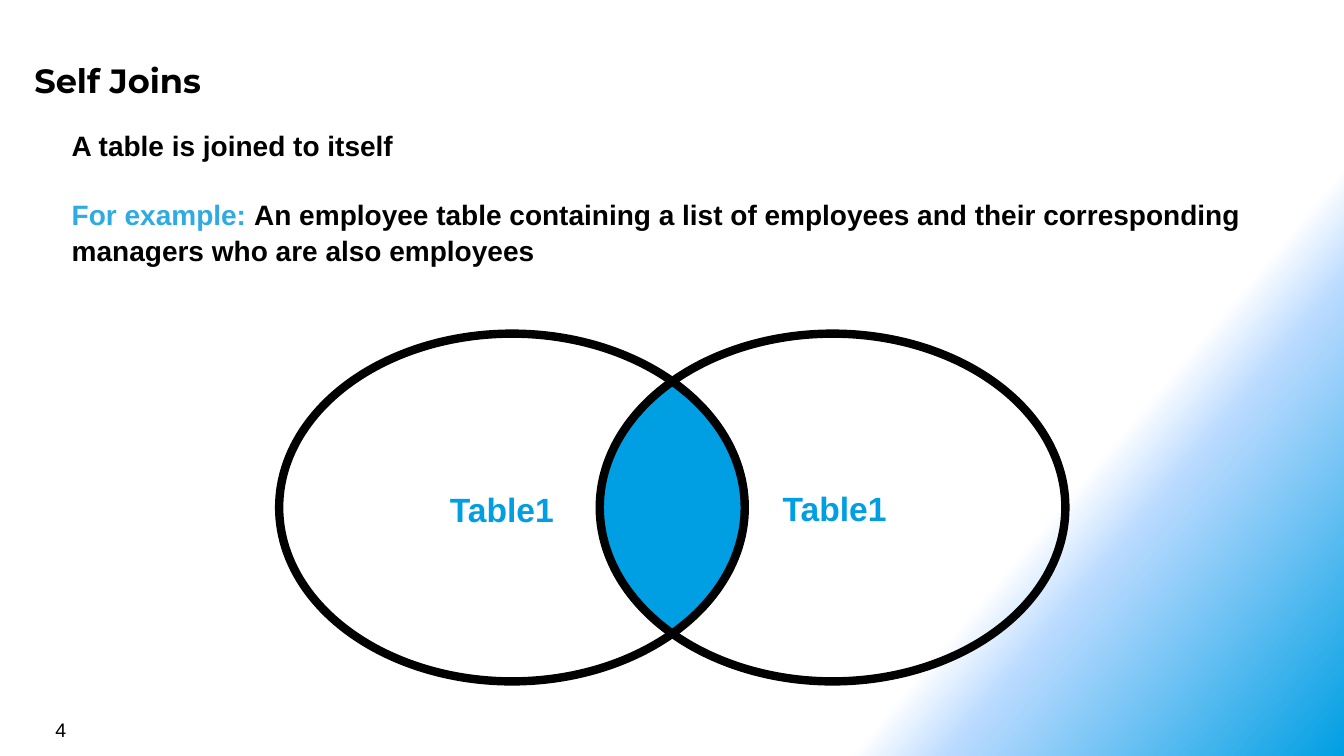
from math import acos, cos, pi, sin
from lxml import etree
from pptx import Presentation, util as u
from pptx.dml.color import RGBColor
from pptx.enum import shapes, text
from pptx.oxml.ns import qn

Pt = u.Pt
BLACK, BLUE, SKY = "000000", "009FE3", "2EABE2"


def rgb(value):
    return RGBColor.from_string(value)


def write(sp, box, lines, size, font="Arial", bold=True, inset=(7.2, 3.6),
          align=text.PP_ALIGN.LEFT):
    """Place a text shape; lines is a list of paragraphs of (text, colour) runs."""
    sp.left, sp.top, sp.width, sp.height = map(Pt, box)
    tf = sp.text_frame
    tf.word_wrap = True
    tf.auto_size = text.MSO_AUTO_SIZE.NONE
    tf.vertical_anchor = text.MSO_ANCHOR.TOP
    tf.margin_left = tf.margin_right = Pt(inset[0])
    tf.margin_top = tf.margin_bottom = Pt(inset[1])
    for i, line in enumerate(lines):
        p = tf.add_paragraph() if i else tf.paragraphs[0]
        p.alignment = align
        for words, color in line:
            r = p.add_run()
            r.text = words
            r.font.name, r.font.size, r.font.bold = font, Pt(size), bold
            r.font.color.rgb = rgb(color)
    return tf


prs = Presentation()
prs.slide_width, prs.slide_height = Pt(960), Pt(540)
s = prs.slides.add_slide(prs.slide_layouts[5])

# Background: white fading to blue in the lower right corner
fill = s.background.fill
fill.gradient()
grad = s.background._cSld.find(".//" + qn("a:gradFill"))
stops = grad.find(qn("a:gsLst"))
for stop in list(stops):
    stops.remove(stop)
for position, color in ((75, "FFFFFF"), (80, "B9DAFF"), (100, BLUE)):
    stop = etree.SubElement(stops, qn("a:gs"), pos=str(position * 1000))
    etree.SubElement(stop, qn("a:srgbClr"), val=color)
fill.gradient_angle = 320
grad.find(qn("a:lin")).set("scaled", "0")

# Title and explanation
write(s.shapes.title, (18.7, 36.7, 882.7, 39.6), [[("Self Joins", BLACK)]],
      24, "Montserrat", inset=(5.8, 5.8))
tf = write(s.shapes.add_textbox(0, 0, 0, 0), (45.4, 85, 874, 108.7), [
    [("A table is joined to itself", BLACK)],
    [("For example: ", SKY),
     ("An employee table containing a list of employees and their "
      "corresponding managers who are also employees", BLACK)],
], 20, inset=(5.8, 5.8))
for p in tf.paragraphs:
    p.line_spacing = 1.05
tf.paragraphs[1].space_before = Pt(24)

# Venn diagram: the overlap is bounded by an arc of each ellipse
width, height, top = 332.6, 248.4, 238.3
lefts = (199.4, 428.4)
rx, ry, cy = width / 2, height / 2, top + height / 2
half = acos((lefts[1] - lefts[0]) / width)
steps = 24
points = []
for left, start in zip(lefts, (-half, pi - half)):
    for i in range(steps):
        angle = start + 2 * half * i / steps
        points.append((left + rx + rx * cos(angle), cy + ry * sin(angle)))
builder = s.shapes.build_freeform(*points[0], scale=Pt(1))
builder.add_line_segments(points[1:], close=True)
overlap = builder.convert_to_shape()
overlap.shadow.inherit = False
overlap.fill.solid()
overlap.fill.fore_color.rgb = rgb(BLUE)
overlap.line.fill.background()

labels = ((303.8, 345.6, 109.4, 36), (540.7, 344.9, 110.9, 36))
for left, box in zip(lefts, labels):
    sp = s.shapes.add_shape(shapes.MSO_SHAPE.OVAL, Pt(left), Pt(top), Pt(width), Pt(height))
    sp.shadow.inherit = False
    sp.fill.background()
    sp.line.color.rgb = rgb(BLACK)
    sp.line.width = Pt(6)
    write(s.shapes.add_textbox(0, 0, 0, 0), box, [[("Table1", BLUE)]], 24,
          align=text.PP_ALIGN.CENTER)

# Page number
write(s.shapes.add_textbox(0, 0, 0, 0), (32.4, 509, 223.9, 23.8), [[("4", BLACK)]],
      14, bold=False)

prs.save("out.pptx")
